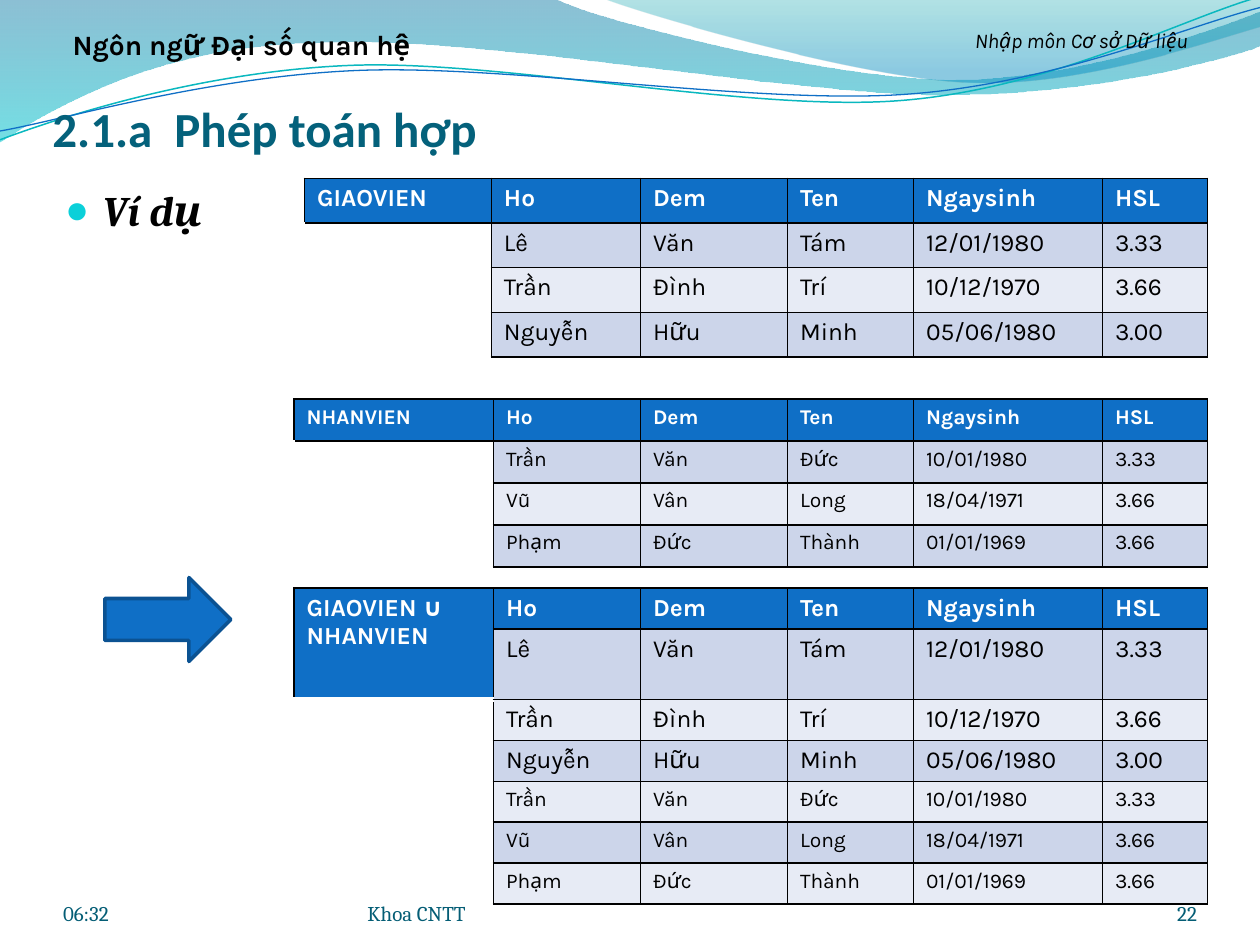
"""Build the slide on the relational union operator."""
import pptx
import pptx.util
import pptx.dml.color
import pptx.enum.shapes
import pptx.enum.text
import pptx.oxml
import pptx.oxml.ns
import lxml.etree

Inches, Pt = pptx.util.Inches, pptx.util.Pt
ALIGN, ANCHOR = pptx.enum.text.PP_ALIGN, pptx.enum.text.MSO_ANCHOR
qn = pptx.oxml.ns.qn
NS = 'xmlns:a="http://schemas.openxmlformats.org/drawingml/2006/main"'
W, H = 10, 7.5
UNIT = W / 120

C = {"blue": "0F6FC6", "edge": "0B5292", "odd": "CCD5EA", "even": "E7EBF5",
     "black": "000000", "white": "FFFFFF", "title": "04617B", "footer": "045D75",
     "bullet": "0BD0D9", "teal": "0AB8BF"}

FIELDS = ["Ho", "Dem", "Ten", "Ngaysinh", "HSL"]
TEACHERS = [["Lê", "Văn", "Tám", "12/01/1980", "3.33"],
            ["Trần", "Đình", "Trí", "10/12/1970", "3.66"],
            ["Nguyễn", "Hữu", "Minh", "05/06/1980", "3.00"]]
STAFF = [["Trần", "Văn", "Đức", "10/01/1980", "3.33"],
         ["Vũ", "Vân", "Long", "18/04/1971", "3.66"],
         ["Phạm", "Đức", "Thành", "01/01/1969", "3.66"]]
NARROW = [17.8, 14.2, 14, 12, 18, 10]
WIDE = [19, 14, 14, 12, 18, 10]
TABLES = [
    ("GIAOVIEN", 29, 17, NARROW, 17, [(TEACHERS, 14)], 1),
    ("NHANVIEN", 28, 38, WIDE, 16, [(STAFF, 12)], 1),
    ("GIAOVIEN ∪\nNHANVIEN", 28, 56, WIDE, 27.3, [(TEACHERS, 14), (STAFF, 12)], 2),
]
LABELS = [
    ("06:32", 6, 28, ALIGN.LEFT),
    ("22", 104, 10, ALIGN.RIGHT),
    ("Khoa CNTT", 35, 44, ALIGN.LEFT),
]
HEADINGS = [
    ("Nhập môn Cơ sở Dữ liệu", 86, 34, 12, False, True),
    ("Ngôn ngữ Đại số quan hệ", 3, 40, 16, True, False),
]
BANDS = [
    ([(0, -0.01), (4.4, -0.01), (4.76, 0.17, 6.64, 0.63, 7.58, 0.63),
      (8.53, 0.63, 9.58, 0.26, 10, 0.09), (10.01, 0.36),
      (9.83, 0.44, 8.7, 0.76, 7.46, 0.75), (6.22, 0.75, 3.82, 0.28, 2.57, 0.34),
      (1.29, 0.35, 0.46, 0.83, -0.01, 1.13), (0, -0.01)],
     [(0, "0074A1", 45), (100, "00C6CF", 55)]),
    ([(4.79, -0.01), (5.09, 0.11, 6.82, 0.62, 7.69, 0.65),
      (8.56, 0.69, 9.61, 0.32, 10, 0.21), (10, 0), (4.79, -0.01)],
     [(0, "00A1A9", 30), (80, "008BBF", 45)]),
]
CURVES = [
    ([(0, 1.11), (0.48, 0.93, 1.58, 0.57, 2.77, 0.52), (3.95, 0.47, 5.93, 0.89, 7.13, 0.8),
      (8.33, 0.71, 9.38, 0.15, 9.98, -0.02)], "teal", 0.85),
    ([(0, 1.04), (0.47, 0.96, 1.64, 0.61, 2.83, 0.56), (4.03, 0.51, 5.97, 0.83, 7.17, 0.75),
      (8.36, 0.67, 9.41, 0.21, 10, 0.06)], "blue", 0.75),
]


def rgb(name):
    return pptx.dml.color.RGBColor.from_string(C[name])


def grid(*units):
    return [Inches(u * UNIT) for u in units]


def write(tf, text, font, size, color, bold=False, italic=False, align=ALIGN.LEFT):
    tf.text = text
    for p in tf.paragraphs:
        p.alignment = align
        for r in p.runs:
            f = r.font
            f.name, f.size, f.bold, f.italic = font, Pt(size), bold, italic
            f.color.rgb = rgb(color)


def label(s, text, box, font, size, color, inset=None, **style):
    tf = s.shapes.add_textbox(*box).text_frame
    tf.word_wrap = True
    if inset is not None:
        tf.margin_left = tf.margin_top = tf.margin_right = tf.margin_bottom = inset
        tf.vertical_anchor = ANCHOR.BOTTOM
    write(tf, text, font, size, color, **style)


def outline(s, path, close):
    points = [seg[i:i + 2] for seg in path for i in range(0, len(seg), 2)]
    scaled = [(round(x * 1000), round(y * 1000)) for x, y in points]
    fb = s.shapes.build_freeform(*scaled[0], scale=Inches(1) / 1000)
    fb.add_line_segments(scaled[1:], close=close)
    sp = fb.convert_to_shape()
    sp.shadow.inherit = False
    steps = iter(list(sp._element.iter(qn("a:lnTo"))))
    for seg in path[1:]:
        step = next(steps)
        if len(seg) == 6:
            step.tag_name = None
            curve = pptx.oxml.parse_xml(f"<a:cubicBezTo {NS}/>")
            step.addprevious(curve)
            for part in (step, next(steps), next(steps)):
                curve.append(part[0])
                part.getparent().remove(part)
    return sp


def draw_waves(s):
    for path, stops in BANDS:
        sp = outline(s, path, True)
        sp.line.fill.background()
        gs = "".join(f'<a:gs pos="{pos * 1000}"><a:srgbClr val="{color}">'
                     f'<a:alpha val="{alpha * 1000}"/></a:srgbClr></a:gs>'
                     for pos, color, alpha in stops)
        grad = pptx.oxml.parse_xml(f'<a:gradFill {NS} rotWithShape="1"><a:gsLst>{gs}</a:gsLst>'
                                   '<a:lin ang="5400000" scaled="0"/></a:gradFill>')
        sp._element.spPr.find(qn("a:custGeom")).addnext(grad)
    for path, color, width in CURVES:
        sp = outline(s, path, False)
        sp.fill.background()
        sp.line.color.rgb = rgb(color)
        sp.line.width = Pt(width)


def borders(cell, **sides):
    for i, side in enumerate("LRTB"):
        color, width = sides.get(side, ("black", 1))
        ln = pptx.oxml.parse_xml(f'<a:ln{side} {NS} w="{Pt(width)}"><a:solidFill>'
                                 f'<a:srgbClr val="{C[color]}"/></a:solidFill></a:ln{side}>')
        cell._tc.get_or_add_tcPr().insert(i, ln)


def draw_table(s, name, x, y, cols, height, groups, name_rows):
    rows = [([name] + FIELDS, groups[0][1])]
    rows += [([""] + row, size) for data, size in groups for row in data]
    tb = s.shapes.add_table(len(rows), len(cols), *grid(x, y, sum(cols), height)).table
    for col, width in zip(tb.columns, grid(*cols)):
        col.width = width
    for i, (row, size) in enumerate(rows):
        tb.rows[i].height = Inches(height * UNIT / len(rows))
        for j, text in enumerate(row):
            cell = tb.cell(i, j)
            cell.margin_top = cell.margin_bottom = Pt(3.3)
            if text:
                cell.fill.solid()
                cell.fill.fore_color.rgb = rgb("blue" if i == 0 else "odd" if i % 2 else "even")
                write(cell.text_frame, text, "Karla", size, "black" if i else "white", bold=i == 0)
            else:
                cell.fill.background()
                end = lxml.etree.SubElement(cell.text_frame.paragraphs[0]._p, qn("a:endParaRPr"))
                end.set("sz", str(size * 100))
            if j or i < name_rows:
                merged = j == 0 and name_rows > 1
                borders(cell, **({"B": ("white", 3)} if merged else {}))
            else:
                top = "black" if i == 1 else "white"
                borders(cell, L=("white", 1), T=(top, 1), B=("white", 1))
    if name_rows > 1:
        tb.cell(0, 0).merge(tb.cell(name_rows - 1, 0))


def draw_text(s):
    title, body = s.shapes.title, s.placeholders[1]
    for sp, box in ((body, (5, 17, 109, 67)), (title, (5, 10, 108, 5))):
        s.shapes._spTree.append(sp._element)
        sp.text_frame.auto_size = pptx.enum.text.MSO_AUTO_SIZE.NONE
        sp.left, sp.top, sp.width, sp.height = grid(*box)
    tf = title.text_frame
    tf.vertical_anchor = ANCHOR.BOTTOM
    tf.margin_left = tf.margin_right = tf.margin_bottom = 0
    tf.margin_top = Inches(0.05)
    write(tf, "2.1.a  Phép toán hợp", "Calibri", 28, "title", bold=True)
    write(body.text_frame, "Ví dụ", "Cambria", 24, "black", bold=True, italic=True)
    pPr = body.text_frame.paragraphs[0]._p.get_or_add_pPr()
    pPr.set("marL", str(Inches(0.3)))
    pPr.set("indent", str(-Inches(0.3)))
    for xml in (f'<a:buClr {NS}><a:srgbClr val="{C["bullet"]}"/></a:buClr>',
                f'<a:buSzPct {NS} val="95000"/>', f'<a:buChar {NS} char="●"/>'):
        pPr.append(pptx.oxml.parse_xml(xml))
    for text, x, w, align in LABELS:
        label(s, text, grid(x, 83.4, w, 4.8), "Cambria", 12, "footer", inset=0, align=align)
    for text, x, w, size, bold, italic in HEADINGS:
        label(s, text, grid(x, 2, w, 4.5), "Karla", size, "black",
              bold=bold, italic=italic, align=ALIGN.CENTER)


def main():
    prs = pptx.Presentation()
    prs.slide_width, prs.slide_height = Inches(W), Inches(H)
    s = prs.slides.add_slide(prs.slide_layouts[1])
    draw_waves(s)
    draw_text(s)
    for table in TABLES:
        draw_table(s, *table)
    arrow = s.shapes.add_shape(pptx.enum.shapes.MSO_SHAPE.RIGHT_ARROW, *grid(10, 55, 12, 8))
    arrow.shadow.inherit = False
    arrow.fill.solid()
    arrow.fill.fore_color.rgb = rgb("blue")
    arrow.line.color.rgb = rgb("edge")
    arrow.line.width = Pt(2)
    prs.save("out.pptx")


if __name__ == "__main__":
    main()
